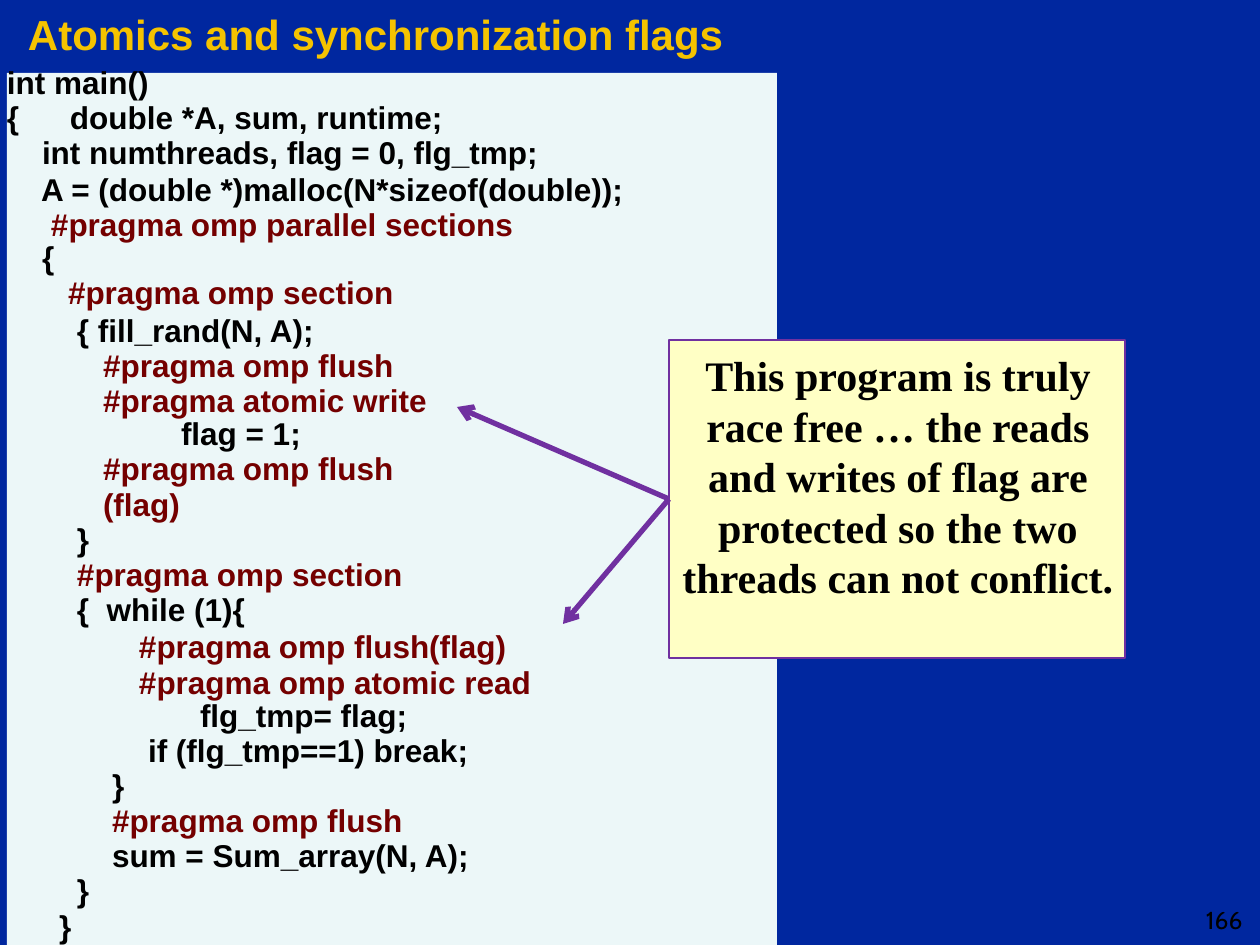
from lxml import etree
from pptx import Presentation
from pptx import util as u
from pptx.dml.color import RGBColor
from pptx.enum import shapes, text
from pptx.oxml.ns import qn

PX = 914400 // 126
COLORS = {"back": "00279F", "title": "F5C300", "panel": "ECF7F8", "code": "000000",
          "pragma": "740000", "note": "FFFFC5", "arrow": "7030A0"}

TITLE = "Atomics and synchronization flags"
NOTE = ("This program is truly race free … the reads and writes of flag are "
        "protected so the two threads can not conflict.")
TAB = 40
# indent px, line pitch pt, space before pt, wording
CODE = [
    (2, 20.8, 0, "{\tdouble *A, sum, runtime;"),
    (37, 20.1, 0, "int numthreads, flag = 0, flg_tmp;"),
    (36, 20, 1.2, "A = (double *)malloc(N*sizeof(double));"),
    (46, 20, 0, "#pragma omp parallel sections"),
    (37, 19.1, 0, "{"),
    (63, 20.1, 0, "#pragma omp section"),
    (72, 20, 1.3, "{ fill_rand(N, A);"),
    (98, 20, 0, "#pragma omp flush"),
    (98, 20, 0, "#pragma atomic write"),
    (176, 19.1, 0, "flag = 1;"),
    (98, 20.1, 0, "#pragma omp flush\v(flag)"),
    (72, 20.1, 0, "}"),
    (72, 20.1, 0, "#pragma omp section"),
    (72, 20.1, 0, "{  while (1){"),
    (134, 20.1, 1.2, "#pragma omp flush(flag)"),
    (134, 20.1, 0, "#pragma omp atomic read"),
    (195, 18.9, 0, "flg_tmp= flag;"),
    (143, 20.1, 0, "if (flg_tmp==1) break;"),
    (107, 20.1, 0, "}"),
    (107, 20.1, 0, "#pragma omp flush"),
    (107, 20.1, 0, "sum = Sum_array(N, A);"),
    (72, 20.1, 0, "}"),
    (54, 20.1, 0, "}"),
]
TIPS = [(457, 407), (563, 624)]


def rgb(name):
    return RGBColor.from_string(COLORS[name])


def style(para, size, face="Arial", color="code", bold=True):
    font = para.font
    font.size, font.name, font.bold = u.Pt(size), face, bold
    font.color.rgb = rgb(color)


def inset(frame, left=0, top=1, right=0):
    frame.word_wrap = True
    frame.margin_left, frame.margin_top = left * PX, top * PX
    frame.margin_right, frame.margin_bottom = right * PX, 0
    frame.vertical_anchor = text.MSO_ANCHOR.TOP


def label(slide, box, words="", *look):
    frame = slide.shapes.add_textbox(*[n * PX for n in box]).text_frame
    inset(frame)
    if words:
        frame.text = words
        style(frame.paragraphs[0], *look)
    return frame


def block(slide, box, fill):
    shape = slide.shapes.add_shape(shapes.MSO_SHAPE.RECTANGLE, *[n * PX for n in box])
    shape.shadow.inherit = False
    shape.fill.solid()
    shape.fill.fore_color.rgb = rgb(fill)
    shape.line.fill.background()
    return shape


def listing(frame):
    for i, (left, pitch, gap, words) in enumerate(CODE):
        para = frame.paragraphs[0] if i == 0 else frame.add_paragraph()
        para.text = words
        props = para._p.get_or_add_pPr()
        props.set("marL", str(left * PX))
        props.set("indent", "0")
        if "\t" in words:
            tabs = etree.SubElement(props, qn("a:tabLst"))
            etree.SubElement(tabs, qn("a:tab"), pos=str(TAB * PX), algn="l")
        para.line_spacing = u.Pt(pitch)
        if gap:
            para.space_before = u.Pt(gap)
        style(para, 18, "Arial", "pragma" if words.startswith("#") else "code")


def arrow(slide, note, tip):
    link = slide.shapes.add_connector(shapes.MSO_CONNECTOR.STRAIGHT, 0, 0,
                                      tip[0] * PX, tip[1] * PX)
    link.begin_connect(note, 1)
    link.line.color.rgb = rgb("arrow")
    link.line.width = u.Pt(3)
    etree.SubElement(link.line._get_or_add_ln(), qn("a:tailEnd"), type="arrow")
    etree.SubElement(link._element.spPr, qn("a:effectLst"))


def main():
    deck = Presentation()
    deck.slide_width, deck.slide_height = 1260 * PX, 945 * PX
    slide = deck.slides.add_slide(deck.slide_layouts[6])
    slide.background.fill.solid()
    slide.background.fill.fore_color.rgb = rgb("back")

    label(slide, (28, 7, 710, 54), TITLE, 24, "Arial", "title")
    label(slide, (1206, 904, 46, 33), "166", 14, "Cabin", "code", False)
    block(slide, (7, 73, 770, 872), "panel")
    label(slide, (7, 62, 160, 42), "int main()", 18)
    listing(label(slide, (5, 98, 700, 845)))

    note = block(slide, (669, 340, 456, 318), "note")
    note.line.color.rgb = rgb("arrow")
    note.line.width = u.Pt(0.75)
    inset(note.text_frame, 8, 10, 6)
    note.text_frame.text = NOTE
    para = note.text_frame.paragraphs[0]
    para.alignment = text.PP_ALIGN.CENTER
    style(para, 24, "Times New Roman")
    for tip in TIPS:
        arrow(slide, note, tip)
    deck.save("out.pptx")


if __name__ == "__main__":
    main()
